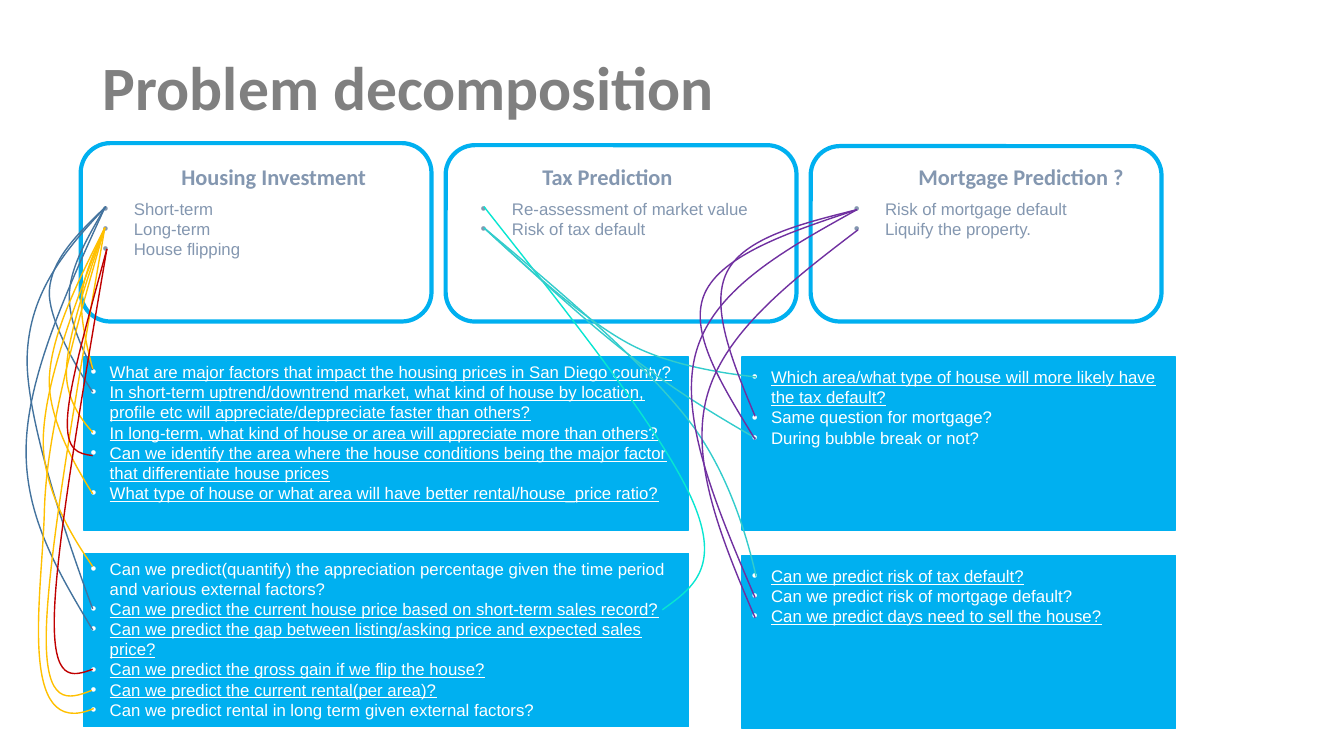
import pptx
import pptx.dml.color
import pptx.enum.shapes
import pptx.enum.text
import pptx.oxml.ns
import pptx.util
from lxml import etree

RGB = pptx.dml.color.RGBColor
GRAY = RGB(0x80, 0x80, 0x80)
SLATE = RGB(0x84, 0x97, 0xB0)
SKY = RGB(0x00, 0xB0, 0xF0)
WHITE = RGB(0xFF, 0xFF, 0xFF)
BLUE = RGB(0x43, 0x73, 0x9E)
GOLD = RGB(0xFF, 0xC0, 0x00)
RED = RGB(0xC0, 0x00, 0x00)
AQUA = RGB(0x08, 0xE6, 0xD1)
TEAL = RGB(0x33, 0xCC, 0xCC)
PLUM = RGB(0x70, 0x30, 0xA0)

PX = 9144  # EMU per px, 100 px to the inch
ROW = 20   # height of one line of list text
KIND = pptx.enum.shapes.MSO_SHAPE
FIT = pptx.enum.text.MSO_AUTO_SIZE
qn = pptx.oxml.ns.qn

# Each card: top, heading inset, list inset, heading, items
CARDS = [
    (142, 90, 12, "Housing Investment", ["Short-term", "Long-term", "House flipping"]),
    (144, 86, 25, "Tax Prediction",
     ["Re-assessment of market value", "Risk of tax default"]),
    (145, 97, 33, "Mortgage Prediction ?",
     ["Risk of mortgage default", "Liquify the property."]),
]

# Left edge, width, text overhang at the sides, text drop from the top
LEFT = (83, 600, 3, 0)
RIGHT = (736, 430, 0, 5)

# Each panel: column, top, text lines, (item, underlined)
PANELS = [
    (LEFT, 354, 9, [
        ("What are major factors that impact the housing prices in San Diego county?", True),
        ("In short-term uptrend/downtrend market, what kind of house by location, "
         "profile etc will appreciate/deppreciate faster than others?", True),
        ("In long-term, what kind of house or area will appreciate more than others?", True),
        ("Can we identify the area where the house conditions being the major factor "
         "that differentiate house prices", True),
        ("What type of house or what area will have better rental/house_price ratio?", True)]),
    (RIGHT, 354, 4, [
        ("Which area/what type of house will more likely have the tax default?", True),
        ("Same question for mortgage?", False),
        ("During bubble break or not?", False)]),
    (LEFT, 549, 9, [
        ("Can we predict(quantify) the appreciation percentage given the time period "
         "and various external factors?", False),
        ("Can we predict the current house price based on short-term sales record?", True),
        ("Can we predict the gap between listing/asking price and expected sales price?", True),
        ("Can we predict the gross gain if we flip the house?", True),
        ("Can we predict the current rental(per area)?", True),
        ("Can we predict rental in long term given external factors?", False)]),
    (RIGHT, 551, 3, [
        ("Can we predict risk of tax default?", True),
        ("Can we predict risk of mortgage default?", False),
        ("Can we predict days need to sell the house?", True)]),
]

# How far the last handle of a curve lies along the way to its end
EVEN, LATE = 0.5, 0.78

# Each fan: color, start, end x, last handle, (middle x, middle y, end y)
FANS = [
    (BLUE, (105, 205), 92, LATE, [(49, 288, 389), (27, 354, 604)]),
    (BLUE, (104, 206), 92, EVEN, [(69, 289, 367), (26, 442, 625)]),
    (GOLD, (104, 226), 92, LATE,
     [(81, 295, 366), (66, 365, 429), (49, 375, 490), (43, 434, 562)]),
    (GOLD, (104, 226), 93, (16, 736), [(44, 508, 703)]),
    (GOLD, (104, 226), 91, EVEN, [(46, 625, 685)]),
    (RED, (106, 247), 92, EVEN, [(67, 414, 452), (54, 609, 664)]),
    (AQUA, (480, 205), 657, EVEN, [(687, 497, 605)]),
    (TEAL, (480, 226), 750, LATE, [(622, 340, 374), (683, 417, 572)]),
    (TEAL, (480, 226), 750, EVEN, [(625, 353, 435)]),
    (PLUM, (850, 208), 749, EVEN, [(721, 270, 413), (699, 291, 436), (690, 351, 593)]),
    (PLUM, (851, 228), 749, EVEN, [(701, 394, 613)]),
]


def emu(box):
    return [PX * n for n in box]


def write(frame, items, size=12, face="Arial", color=SLATE, bold=False, hang=0):
    """Fill a text frame with (text, underlined) items; hang adds bullets."""
    frame.word_wrap = True
    for i, (text, under) in enumerate(items):
        para = frame.add_paragraph() if i else frame.paragraphs[0]
        if hang:
            props = para._p.get_or_add_pPr()
            props.set("marL", str(hang * PX))
            props.set("indent", str(-hang * PX))
            etree.SubElement(props, qn("a:buFont")).set("typeface", "Arial")
            etree.SubElement(props, qn("a:buChar")).set("char", "•")
        run = para.add_run()
        run.text = text
        font = run.font
        font.name, font.size, font.bold = face, pptx.util.Pt(size), bold
        font.underline = under
        font.color.rgb = color


def label(group, box, items, **style):
    frame = group.shapes.add_textbox(*emu(box)).text_frame
    write(frame, items, **style)
    frame.auto_size = FIT.SHAPE_TO_FIT_TEXT


def block(group, kind, box, width):
    shape = group.shapes.add_shape(kind, *emu(box))
    shape.shadow.inherit = False
    shape.line.color.rgb = SKY
    shape.line.width = pptx.util.Pt(width)
    return shape


def card(slide, left, top, head, body, title, items):
    group = slide.shapes.add_group_shape()
    label(group, (left + head, 157, 235, 37), [(title, False)],
          size=16, face="Calibri", bold=True)
    label(group, (left + body, 192, 313, 10 + ROW * len(items)),
          [(item, False) for item in items], hang=31)
    frame = (left, top, 348, 319 - top)
    block(group, KIND.ROUNDED_RECTANGLE, frame, 3).fill.background()


def panel(slide, column, top, lines, items):
    left, width, side, drop = column
    group = slide.shapes.add_group_shape()
    fill = block(group, KIND.RECTANGLE, (left, top, width, 172), 1).fill
    fill.solid()
    fill.fore_color.rgb = SKY
    inner = (left - side, top + drop, width + 2 * side, 10 + ROW * lines)
    label(group, inner, items, color=WHITE, hang=19)


def blend(a, b, part):
    return tuple(round(p + (q - p) * part) for p, q in zip(a, b))


def curve(slide, color, start, mid, end, last):
    """Draw a smooth curve of two Bezier spans that meet at mid."""
    slope = [(e - s) / 6 for s, e in zip(start, end)]
    enter = tuple(round(m - d) for m, d in zip(mid, slope))
    leave = tuple(round(m + d) for m, d in zip(mid, slope))
    if not isinstance(last, tuple):
        last = blend(leave, end, last)
    pen = slide.shapes.build_freeform(*start, scale=PX)
    pen.add_line_segments(
        [blend(start, enter, EVEN), enter, mid, leave, last, end], close=False)
    shape = pen.convert_to_shape()
    legs = list(shape.element.iter(qn("a:lnTo")))
    for i in range(0, len(legs), 3):
        legs[i].tag = qn("a:cubicBezTo")
        for leg in legs[i + 1:i + 3]:
            legs[i].append(leg[0])
            leg.getparent().remove(leg)
    shape.shadow.inherit = False
    shape.fill.background()
    shape.line.color.rgb = color
    shape.line.width = pptx.util.Pt(1)


def main():
    deck = pptx.Presentation()
    deck.slide_width, deck.slide_height = emu((1333, 750))
    slide = deck.slides.add_slide(deck.slide_layouts[5])
    title = slide.shapes.title
    title.left, title.top, title.width, title.height = emu((92, 40, 1135, 99))
    frame = title.text_frame
    write(frame, [("Problem decomposition", False)],
          size=44, face="Calibri", color=GRAY, bold=True)
    frame.vertical_anchor = pptx.enum.text.MSO_ANCHOR.MIDDLE
    frame.paragraphs[0].alignment = pptx.enum.text.PP_ALIGN.LEFT
    frame.paragraphs[0].line_spacing = 0.9
    for i, spec in enumerate(CARDS):
        card(slide, 80 + 362 * i, *spec)
    for spec in PANELS:
        panel(slide, *spec)
    for color, start, right, last, paths in FANS:
        for x, y, low in paths:
            curve(slide, color, start, (x, y), (right, low), last)
    deck.save("out.pptx")


if __name__ == "__main__":
    main()
